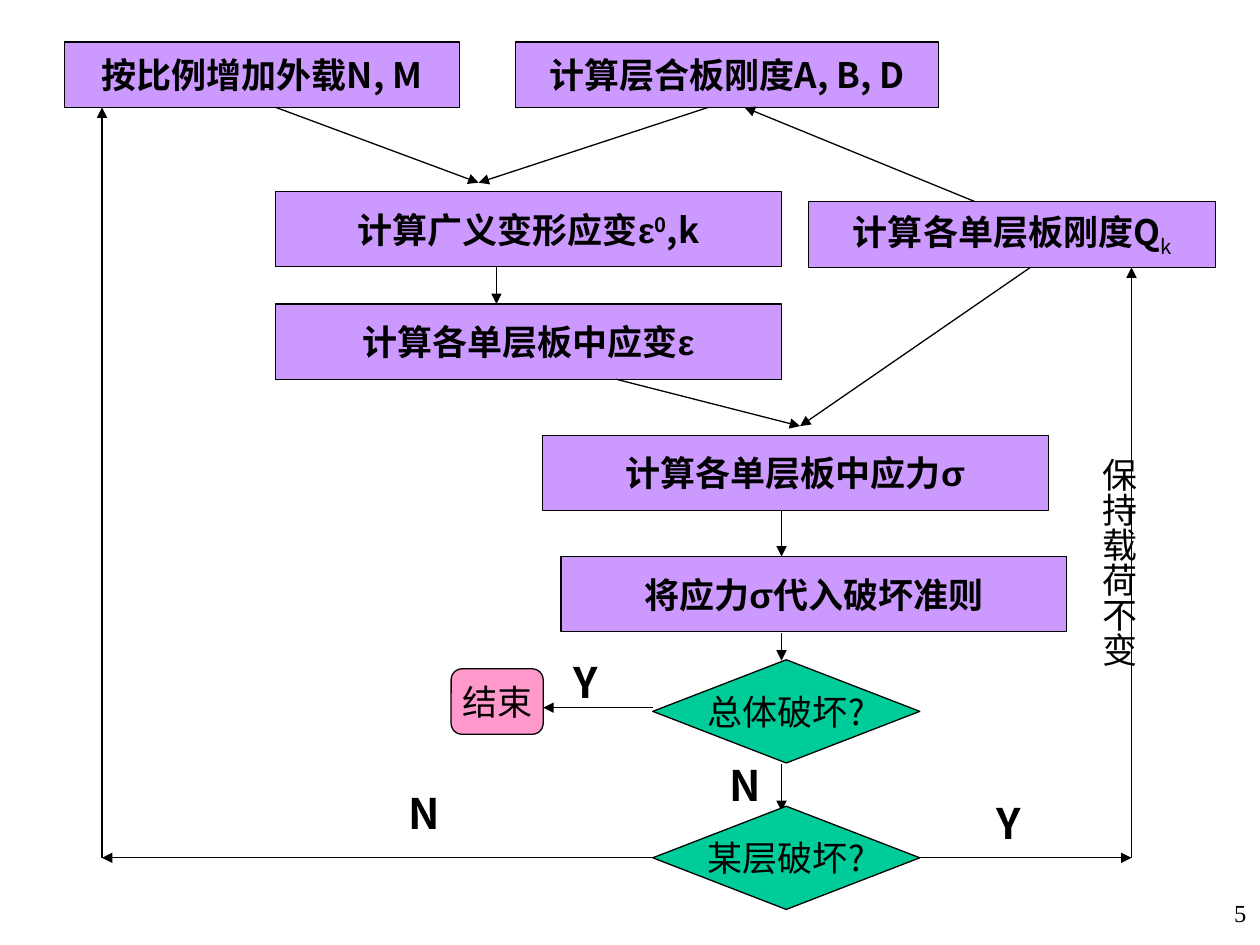
from pptx import Presentation
from pptx import util as u
from pptx.dml import color
from pptx.enum import shapes, text
from pptx.oxml import ns
from lxml import etree

Pt = u.Pt
CJK = "Noto Sans CJK SC"
GREEK = "Arial"
BLACK, PURPLE, GREEN, PINK = "000000", "CC99FF", "00CC99", "FF99CC"


def rgb(value):
    """Turn a hex string into a colour."""
    return color.RGBColor.from_string(value)


def add_child(parent, tag, **attributes):
    """Append a DrawingML element to its parent."""
    return etree.SubElement(parent, ns.qn(tag), attributes)


def write(shape, spans, size, bold=False, align=text.PP_ALIGN.CENTER):
    """Fill a shape with one paragraph of (text, font, baseline) spans."""
    para = shape.text_frame.paragraphs[0]
    para.alignment = align
    for words, name, baseline in spans:
        span = para.add_run()
        span.text = words
        for key, value in {"size": Pt(size), "bold": bold, "name": name}.items():
            setattr(span.font, key, value)
        span.font.color.rgb = rgb(BLACK)
        properties = span.font._element
        add_child(properties, "a:ea", typeface=name)
        if baseline:
            properties.set("baseline", str(baseline * 1000))


def add_node(page, origin, place, kind, fill, spans, bold=False):
    """Draw an outlined, filled flowchart node."""
    left, top, width, height = place
    node = page.shapes.add_shape(kind, Pt(origin[0] + left), Pt(origin[1] + top),
                                 Pt(width), Pt(height))
    node.shadow.inherit = False
    node.fill.solid()
    node.fill.fore_color.rgb = rgb(fill)
    node.line.color.rgb = rgb(BLACK)
    node.line.width = Pt(0.75)
    frame = node.text_frame
    frame.word_wrap = False
    frame.vertical_anchor = text.MSO_ANCHOR.MIDDLE
    write(node, spans, 20, bold)
    return node


def add_arrow(page, origin, start, end):
    """Draw a straight line with an arrowhead at its end."""
    x, y = origin[:2]
    arrow = page.shapes.add_connector(shapes.MSO_CONNECTOR.STRAIGHT,
                                      Pt(x + start[0]), Pt(y + start[1]),
                                      Pt(x + end[0]), Pt(y + end[1]))
    arrow.line.color.rgb = rgb(BLACK)
    arrow.line.width = Pt(0.75)
    add_child(arrow.line._get_or_add_ln(), "a:tailEnd", type="triangle")
    add_child(arrow._element.spPr, "a:effectLst")
    return arrow


def add_label(page, origin, place, words, size=24, bold=True, name=CJK,
              align=text.PP_ALIGN.LEFT):
    """Place a wrapping text box."""
    left, top, width, height = place
    label = page.shapes.add_textbox(Pt(origin[0] + left), Pt(origin[1] + top),
                                    Pt(width), Pt(height))
    label.text_frame.word_wrap = True
    write(label, [(words, name, 0)], size, bold, align)
    return label


def build_calculations(page, box):
    """Draw the calculation steps and the arrows between them."""
    low, tall, wide = 37.4, 43, 289
    steps = [
        ((0.7, 0, 226, low), [("按比例增加外载N, M", CJK, 0)]),
        ((258.5, 0, 242, low), [("计算层合板刚度A, B, D", CJK, 0)]),
        ((426.2, 91.3, 232.6, low), [("计算各单层板刚度Q", CJK, 0), ("k", CJK, -25)]),
        ((121.5, 85.5, wide, tall), [("计算广义变形应变", CJK, 0), ("ε", GREEK, 0),
                                     ("0", CJK, 30), (",k", CJK, 0)]),
        ((121.5, 149.7, wide, tall), [("计算各单层板中应变", CJK, 0), ("ε", GREEK, 0)]),
        ((274, 224.7, wide, tall), [("计算各单层板中应力", CJK, 0), ("σ", GREEK, 0)]),
        ((284.6, 294, wide, tall), [("将应力", CJK, 0), ("σ", GREEK, 0),
                                    ("代入破坏准则", CJK, 0)]),
    ]
    for place, spans in steps:
        node = add_node(page, box, place, shapes.MSO_SHAPE.RECTANGLE, PURPLE, spans, True)
        if len(spans) > 1 and spans[1][0] == "k":
            node.text_frame.paragraphs[0].runs[1].font.bold = False
    strain_entry, stress_entry = (237.5, 80.4), (421.2, 219.5)
    arrows = [
        ((121.7, low), strain_entry),
        ((368.6, low), strain_entry),
        ((521.3, 91.3), (389.5, low)),
        ((247.7, 128.5), (247.7, 149.7)),
        ((316, 192.7), stress_entry),
        ((553, 128.7), stress_entry),
        ((410.6, 267.7), (410.6, 294)),
    ]
    for start, end in arrows:
        add_arrow(page, box, start, end)


def build_decisions(page, box):
    """Draw both failure checks and the end node; return the ply check."""
    width, height = 152.6, 59
    left, pitch, stem = 115.2, 83.7, 188.8
    for start, end in [((stem, 0), (stem, 16)),
                       ((stem, 16 + height), (stem, 102)),
                       ((left, 42.9), (52.6, 42.9))]:
        add_arrow(page, box, start, end)
    for row, words in enumerate(["总体破坏?", "某层破坏?"]):
        check = add_node(page, box, (left, 15.5 + row * pitch, width, height),
                         shapes.MSO_SHAPE.DIAMOND, GREEN, [(words, CJK, 0)])
    add_node(page, box, (0, 20.7, 52.6, low_height := 37.4),
             shapes.MSO_SHAPE.ROUNDED_RECTANGLE, PINK, [("结束", CJK, 0)])
    add_label(page, box, (62.6, 9.9, 63.4, 36), "Y")
    add_label(page, box, (151.9, 68.9, 63.4, 36), "N")
    return check


def build_loops(page, box, check):
    """Draw the two return paths that leave the ply check."""
    width, height = box[2:]
    add_arrow(page, box, (0, height), (0, 0))
    add_arrow(page, box, (width, height), (width, 91.4))
    for site, corner in [(1, 0), (3, width)]:
        arrow = add_arrow(page, box, (width / 2, height), (corner, height))
        arrow.begin_connect(check, site)
    add_label(page, box, (167.8, 385.2, 63.4, 36), "N")
    add_label(page, box, (504, 391, 63.4, 36), "Y")
    note = add_label(page, box, (558.7, 192.8, 38.2, 155.5), "保持载荷不变", 20, False)
    frame = note.text_frame
    margins = {"margin_left": 3.6, "margin_right": 3.6,
               "margin_top": 7.2, "margin_bottom": 7.2}
    for key, value in margins.items():
        setattr(frame, key, Pt(value))
    frame._txBody.bodyPr.set("vert", "eaVert")


def build_page_number(page, box):
    """Write the page number at the right of its box."""
    add_label(page, box, (0, 0, *box[2:]), "5", 14, False, "Times New Roman",
              text.PP_ALIGN.RIGHT)


def main():
    """Build and save the deck."""
    deck = Presentation()
    deck.slide_width, deck.slide_height = Pt(720), Pt(540)
    page = deck.slides.add_slide(deck.slide_layouts[6])
    build_calculations(page, (36, 24, 659, 337))
    check = build_decisions(page, (257.8, 361.5, 268, 158))
    build_loops(page, (58.3, 61.4, 588.3, 428.8), check)
    build_page_number(page, (569.5, 509.8, 149.8, 36))
    deck.save("out.pptx")


if __name__ == "__main__":
    main()
